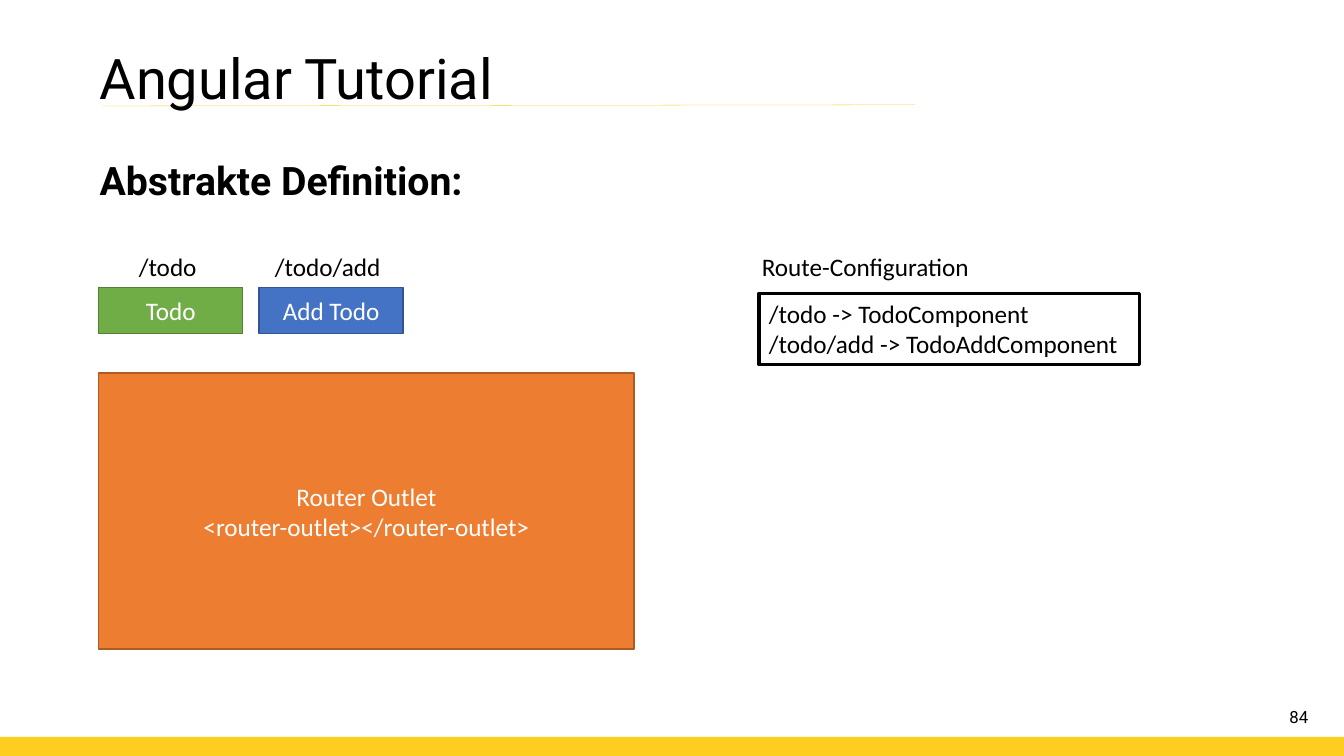
from lxml import etree
from pptx import Presentation
from pptx.dml.color import RGBColor
from pptx.enum import shapes, text
from pptx.oxml import ns
from pptx.util import Cm, Pt

BLACK = RGBColor(0x00, 0x00, 0x00)
WHITE = RGBColor(0xFF, 0xFF, 0xFF)
YELLOW = RGBColor(0xFD, 0xCD, 0x20)
ORANGE = RGBColor(0xED, 0x7D, 0x31)
DARK_ORANGE = RGBColor(0xAF, 0x5C, 0x24)
GREEN = RGBColor(0x70, 0xAD, 0x47)
DARK_GREEN = RGBColor(0x53, 0x80, 0x35)
BLUE = RGBColor(0x44, 0x72, 0xC4)
DARK_BLUE = RGBColor(0x32, 0x54, 0x91)

WIDTH, HEIGHT = 33.87, 19.05
LEFT = 2.49
LABEL_TOP = 6.2
LABEL_HEIGHT = 1.02
BUTTON_STEP = 4.04


def write(shape, lines, font="Calibri", size=18, color=BLACK, bold=False,
          align=text.PP_ALIGN.LEFT, anchor=text.MSO_ANCHOR.TOP, spacing=1.0):
    frame = shape.text_frame
    frame.word_wrap = True
    frame.vertical_anchor = anchor
    frame.text = "\n".join(lines)
    for paragraph in frame.paragraphs:
        paragraph.alignment = align
        paragraph.line_spacing = spacing
        paragraph.font.name = font
        paragraph.font.size = Pt(size)
        paragraph.font.bold = bold
        paragraph.font.color.rgb = color


def add_label(slide, left, top, width, height, label, **text_format):
    box = slide.shapes.add_textbox(Cm(left), Cm(top), Cm(width), Cm(height))
    write(box, [label], **text_format)


def add_box(slide, left, top, width, height, fill, outline=None, weight=1):
    box = slide.shapes.add_shape(shapes.MSO_SHAPE.RECTANGLE,
                                 Cm(left), Cm(top), Cm(width), Cm(height))
    box.shadow.inherit = False
    box.fill.solid()
    box.fill.fore_color.rgb = fill
    if outline is None:
        box.line.fill.background()
    else:
        box.line.color.rgb = outline
        box.line.width = Pt(weight)
    return box


def add_component(slide, left, top, width, height, fill, outline, lines):
    box = add_box(slide, left, top, width, height, fill, outline)
    write(box, lines, color=WHITE, align=text.PP_ALIGN.CENTER,
          anchor=text.MSO_ANCHOR.MIDDLE)


def add_title_rule(slide):
    rule = slide.shapes.add_connector(shapes.MSO_CONNECTOR.STRAIGHT,
                                      Cm(2.57), Cm(2.67), Cm(23.06), Cm(2.64))
    rule.line.color.rgb = YELLOW
    rule.line.width = Pt(0.2)
    etree.SubElement(rule._element.spPr, ns.qn("a:effectLst"))


def add_frame(slide):
    """Add the footer bar, page number, title and heading."""
    add_box(slide, 0, 18.57, WIDTH, HEIGHT - 18.57, YELLOW)
    add_label(slide, 25.6, 17.55, 7.62, LABEL_HEIGHT, "84", font="Roboto",
              size=12, align=text.PP_ALIGN.RIGHT,
              anchor=text.MSO_ANCHOR.MIDDLE)
    add_title_rule(slide)
    add_label(slide, 2.26, 1.17, 29.21, 3.68, "Angular Tutorial",
              font="Roboto", size=40, spacing=0.9)
    add_label(slide, 2.26, 3.96, 29.21, 12.09, "Abstrakte Definition:",
              font="Roboto", size=28, bold=True, spacing=0.9)


def add_router(slide):
    add_component(slide, LEFT, 9.4, 13.49, 6.96, ORANGE, DARK_ORANGE,
                  ["Router Outlet", "<router-outlet></router-outlet>"])
    buttons = [
        ("Todo", GREEN, DARK_GREEN, "/todo", 3.25, 2.54),
        ("Add Todo", BLUE, DARK_BLUE, "/todo/add", 6.68, 3.3),
    ]
    for index, (name, fill, outline, route, route_left, route_width) in enumerate(buttons):
        add_component(slide, LEFT + index * BUTTON_STEP, 7.24, 3.63, 1.17,
                      fill, outline, [name])
        add_label(slide, route_left, LABEL_TOP, route_width, LABEL_HEIGHT, route)


def add_route_configuration(slide):
    add_label(slide, 18.95, LABEL_TOP, 6.3, LABEL_HEIGHT, "Route-Configuration")
    routes = add_box(slide, 19.13, 7.39, 9.58, 1.8, WHITE, BLACK, 2.25)
    write(routes, ["/todo -> TodoComponent", "/todo/add -> TodoAddComponent"])


def main():
    deck = Presentation()
    deck.slide_width, deck.slide_height = Cm(WIDTH), Cm(HEIGHT)
    slide = deck.slides.add_slide(deck.slide_layouts[6])
    add_frame(slide)
    add_router(slide)
    add_route_configuration(slide)
    deck.save("out.pptx")


if __name__ == "__main__":
    main()
